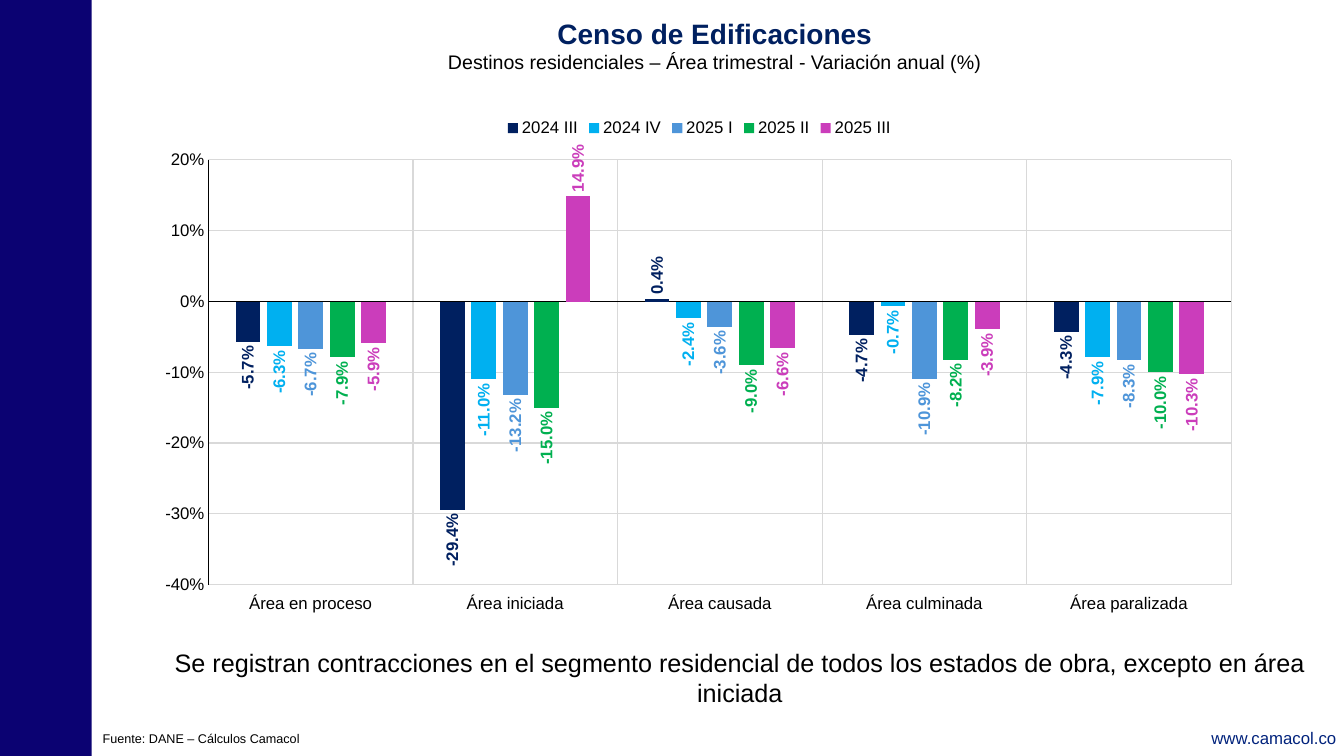
from pptx import Presentation
from pptx.chart.data import CategoryChartData
from pptx.dml.color import RGBColor
from pptx.enum.chart import (XL_CHART_TYPE, XL_LABEL_POSITION, XL_LEGEND_POSITION,
                             XL_TICK_LABEL_POSITION, XL_TICK_MARK)
from pptx.enum.shapes import MSO_SHAPE
from pptx.enum.text import MSO_ANCHOR, MSO_AUTO_SIZE, PP_ALIGN
from pptx.oxml import parse_xml
from pptx.oxml.ns import nsdecls, qn
from pptx.util import Cm, Pt

RECTANGLE, ROUNDED = MSO_SHAPE.RECTANGLE, MSO_SHAPE.ROUNDED_RECTANGLE
LEFT, CENTER, RIGHT = PP_ALIGN.LEFT, PP_ALIGN.CENTER, PP_ALIGN.RIGHT
TOP, MIDDLE = MSO_ANCHOR.TOP, MSO_ANCHOR.MIDDLE
GROW = MSO_AUTO_SIZE.SHAPE_TO_FIT_TEXT
COLUMNS = XL_CHART_TYPE.COLUMN_CLUSTERED
OUTSIDE_END = XL_LABEL_POSITION.OUTSIDE_END
LEGEND_TOP = XL_LEGEND_POSITION.TOP
LABELS_LOW = XL_TICK_LABEL_POSITION.LOW
NO_TICK = XL_TICK_MARK.NONE

FONT = "Arial"
WHITE = RGBColor(0xFF, 0xFF, 0xFF)
BLACK = RGBColor(0x00, 0x00, 0x00)
BAND_BLUE = RGBColor(0x0B, 0x02, 0x72)
LINK_BLUE = RGBColor(0x00, 0x22, 0x7C)
NAVY = RGBColor(0x00, 0x20, 0x60)
SKY = RGBColor(0x00, 0xB0, 0xF0)
STEEL = RGBColor(0x4E, 0x95, 0xD9)
GREEN = RGBColor(0x00, 0xB0, 0x50)
MAGENTA = RGBColor(0xCB, 0x3D, 0xBB)
GRID_GREY = RGBColor(0xD9, 0xD9, 0xD9)

WORK_STATES = ["Área en proceso", "Área iniciada", "Área causada",
               "Área culminada", "Área paralizada"]
QUARTERS = [
    ("2024 III", NAVY, (-0.057, -0.294, 0.004, -0.047, -0.043)),
    ("2024 IV", SKY, (-0.063, -0.11, -0.024, -0.007, -0.079)),
    ("2025 I", STEEL, (-0.067, -0.132, -0.036, -0.109, -0.083)),
    ("2025 II", GREEN, (-0.079, -0.15, -0.09, -0.082, -0.1)),
    ("2025 III", MAGENTA, (-0.059, 0.149, -0.066, -0.039, -0.103)),
]
PLOT_LAYOUT = {"x": 0.058, "y": 0.101, "w": 0.921, "h": 0.823}


def style_font(font, size, color=BLACK, bold=False):
    font.name = FONT
    font.size = Pt(size)
    font.bold = bold
    font.color.rgb = color


def write(frame, text, size, color=BLACK, bold=False, align=LEFT, spacing=None, first=True):
    paragraph = frame.paragraphs[0] if first else frame.add_paragraph()
    paragraph.alignment = align
    if spacing:
        paragraph.line_spacing = spacing
    run = paragraph.add_run()
    run.text = text
    style_font(run.font, size, color, bold)


def add_frame(slide, left, top, width, height):
    box = slide.shapes.add_textbox(Cm(left), Cm(top), Cm(width), Cm(height))
    frame = box.text_frame
    frame.word_wrap = True
    frame.vertical_anchor = TOP
    return frame


def add_panel(slide, kind, left, top, width, height, fill):
    panel = slide.shapes.add_shape(kind, Cm(left), Cm(top), Cm(width), Cm(height))
    panel.shadow.inherit = False
    panel.fill.solid()
    panel.fill.fore_color.rgb = fill
    panel.line.fill.background()
    return panel


def style_axis(axis):
    axis.major_tick_mark = axis.minor_tick_mark = NO_TICK
    axis.has_major_gridlines = True
    for line, color in ((axis.format.line, BLACK),
                        (axis.major_gridlines.format.line, GRID_GREY)):
        line.color.rgb = color
        line.width = Pt(0.75)
    style_font(axis.tick_labels.font, 12)


def style_series(series, color):
    series.invert_if_negative = False
    series.format.fill.solid()
    series.format.fill.fore_color.rgb = color
    labels = series.data_labels
    labels.show_value = True
    labels.number_format = "0.0%"
    labels.number_format_is_linked = False
    labels.position = OUTSIDE_END
    style_font(labels.font, 12, color, True)
    body = labels._element.find(qn("c:txPr")).find(qn("a:bodyPr"))
    body.set("rot", "-5400000")
    body.set("vert", "horz")


def place_plot(chart):
    area = chart._chartSpace.chart.plotArea
    for layout in area.findall(qn("c:layout")):
        area.remove(layout)
    sizes = "".join(f'<c:{side} val="{share}"/>' for side, share in PLOT_LAYOUT.items())
    area.insert(0, parse_xml(
        f'<c:layout {nsdecls("c")}><c:manualLayout><c:layoutTarget val="inner"/>'
        f'<c:xMode val="edge"/><c:yMode val="edge"/>{sizes}</c:manualLayout></c:layout>'))


def add_variation_chart(slide, left, top, width, height):
    data = CategoryChartData(number_format="0.0%")
    data.categories = WORK_STATES
    for quarter, _, changes in QUARTERS:
        data.add_series(quarter, changes)
    chart = slide.shapes.add_chart(COLUMNS, Cm(left), Cm(top), Cm(width), Cm(height), data).chart
    chart.has_title = False
    style_font(chart.font, 14)
    chart.has_legend = True
    chart.legend.position = LEGEND_TOP
    chart.legend.include_in_layout = False
    style_font(chart.legend.font, 12)

    plot = chart.plots[0]
    plot.vary_by_categories = False
    plot.gap_width = 219
    plot.overlap = -27
    for series, (_, color, _) in zip(plot.series, QUARTERS):
        style_series(series, color)

    style_axis(chart.category_axis)
    chart.category_axis.tick_label_position = LABELS_LOW
    changes_axis = chart.value_axis
    style_axis(changes_axis)
    changes_axis.minimum_scale = -0.4
    changes_axis.maximum_scale = 0.2
    changes_axis.major_unit = 0.1
    changes_axis.tick_labels.number_format = "0%"
    changes_axis.tick_labels.number_format_is_linked = False
    place_plot(chart)


def main():
    deck = Presentation()
    deck.slide_width, deck.slide_height = Cm(33.87), Cm(19.05)
    slide = deck.slides.add_slide(deck.slide_layouts[6])

    add_panel(slide, RECTANGLE, 0, 0, 2.31, 19.05, BAND_BLUE)

    website = add_frame(slide, 26.34, 18.24, 7.34, 0.61)
    website.margin_left = website.margin_right = website.margin_top = website.margin_bottom = 0
    write(website, "www.camacol.co", 12, LINK_BLUE, align=RIGHT, spacing=1.2)

    heading = add_frame(slide, 7.59, 0.28, 20.85, 1.75)
    write(heading, "Censo de Edificaciones", 20, NAVY, bold=True, align=CENTER)
    write(heading, "Destinos residenciales – Área trimestral - Variación anual (%)", 14,
          align=CENTER, first=False)

    message = add_panel(slide, ROUNDED, 4.09, 16.51, 29.11, 1.14, WHITE).text_frame
    message.word_wrap = True
    message.auto_size = GROW
    message.vertical_anchor = MIDDLE
    write(message, "Se registran contracciones en el segmento residencial de todos los "
          "estados de obra, excepto en área iniciada", 18, align=CENTER)

    origin = add_frame(slide, 2.34, 18.29, 28.63, 0.64)
    write(origin, "Fuente: DANE – Cálculos Camacol", 9)

    add_variation_chart(slide, 3.63, 2.72, 27.99, 13)
    deck.save("out.pptx")


if __name__ == "__main__":
    main()
